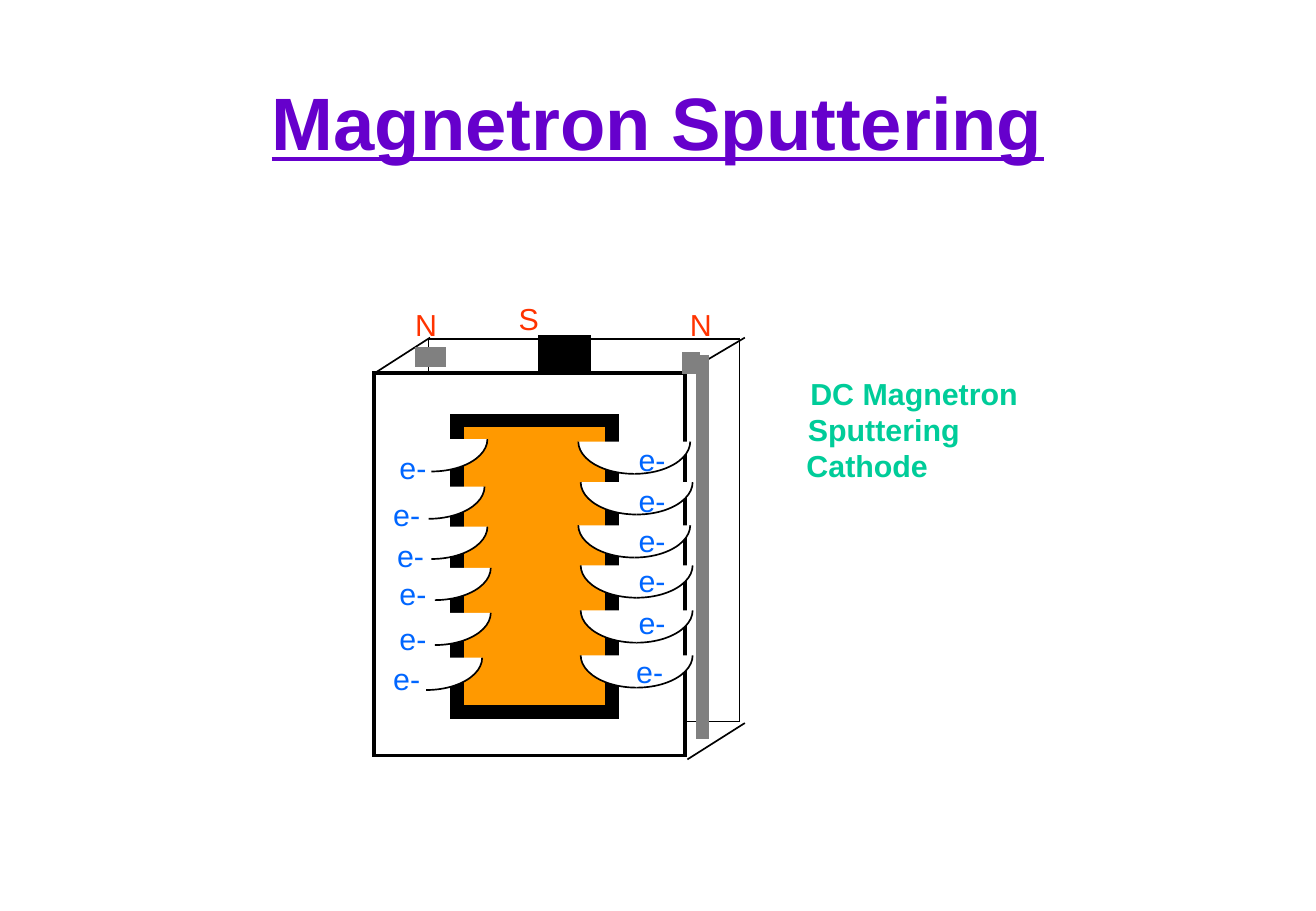
from lxml import etree
from pptx import Presentation
from pptx import util as u
from pptx.dml.color import RGBColor
from pptx.enum import shapes as es, text as et
from pptx.oxml import ns

BLACK = RGBColor(0, 0, 0)
WHITE = RGBColor(255, 255, 255)
GRAY = RGBColor(0x80, 0x80, 0x80)
ORANGE = RGBColor(0xFF, 0x99, 0)
NAVY = RGBColor(0x33, 0x33, 0xCC)
BLUE = RGBColor(0, 0x66, 0xFF)
RED = RGBColor(0xFF, 0x33, 0)
GREEN = RGBColor(0, 0xCC, 0x99)
PURPLE = RGBColor(0x66, 0, 0xCC)

KIND = es.MSO_SHAPE
QUARTER = 54.0  # 90 degrees as an arc adjustment


def cms(*nums):
    return [u.Cm(n) for n in nums]


def pen(line, color, width):
    line.color.rgb = color
    line.width = u.Pt(width)


def draw(slide, kind, x, y, w, h, fill, color, width):
    shape = slide.shapes.add_shape(kind, *cms(x, y, w, h))
    shape.shadow.inherit = False
    if fill is None:
        shape.fill.background()
    else:
        shape.fill.solid()
        shape.fill.fore_color.rgb = fill
    pen(shape.line, color, width)
    if kind == KIND.RECTANGLE:
        ln = shape.line._get_or_add_ln()
        etree.SubElement(ln, ns.qn("a:miter"), lim="800000")
    return shape


def arc(slide, x, y, start):
    """Draw a quarter ellipse that begins at the given quarter turn."""
    shape = draw(slide, KIND.ARC, x, y, 2.34, 1.35, WHITE, BLACK, 1)
    shape.adjustments[0] = start * QUARTER
    shape.adjustments[1] = (start + 1) * QUARTER


def edge(slide, x1, y1, x2, y2, color=BLACK, width=1):
    line = slide.shapes.add_connector(
        es.MSO_CONNECTOR.STRAIGHT, *cms(x1, y1, x2, y2))
    pen(line.line, color, width)
    etree.SubElement(line._element.spPr, ns.qn("a:effectLst"))


def write(para, words, size, color, bold=False):
    run = para.add_run()
    run.text = words
    font = run.font
    font.name = "Arial"
    font.size = u.Pt(size)
    font.bold = bold
    font.color.rgb = color
    return font


def label(slide, x, y, w, words, color, bold=False):
    frame = slide.shapes.add_textbox(*cms(x, y, w, 1.02)).text_frame
    frame.word_wrap = False
    write(frame.paragraphs[0], words, 18, color, bold)


def heading(slide, x, y, w, h):
    title = slide.shapes.title
    title.left, title.top, title.width, title.height = cms(x, y, w, h)
    frame = title.text_frame
    frame.vertical_anchor = et.MSO_ANCHOR.MIDDLE
    para = frame.paragraphs[0]
    para.alignment = et.PP_ALIGN.CENTER
    write(para, "Magnetron Sputtering", 44, PURPLE, True).underline = True


def case(slide, x, y, w, h):
    """Draw the housing; the box is its front plate."""
    box = KIND.RECTANGLE
    draw(slide, box, x + 1.14, y - 0.71, w, h, None, BLACK, 1)
    draw(slide, box, x, y, w, h, WHITE, BLACK, 2)
    for x1, y1, x2, y2 in ((1.17, -0.74, -0.03, 0.03),
                           (7.75, -0.74, 6.55, -0.03),
                           (7.75, 7.32, 6.55, 8.08)):
        edge(slide, x + x1, y + y1, x + x2, y + y2)
    draw(slide, box, x + 1.73, y + 0.99, 3.25, 6.1, ORANGE, BLACK, 8)


def paths(slide, x, y):
    """Draw the electron paths and their labels."""
    left = ((0.03, 0.71), (-0.03, 1.7), (0.03, 2.54),
            (0.1, 3.4), (0.1, 4.34), (-0.08, 5.28))
    right = ((4.27, 0.76), (4.32, 1.61), (4.27, 2.51),
             (4.32, 3.35), (4.32, 4.29), (4.32, 5.23))
    marks = ((0.28, 1.47), (0.15, 2.46), (0.23, 3.3),
             (0.28, 4.11), (0.28, 5.05), (0.15, 5.89),
             (5.28, 1.3), (5.28, 2.16), (5.28, 3),
             (5.28, 3.84), (5.28, 4.7), (5.23, 5.74))
    for dx, dy in left:
        arc(slide, x + dx, y + dy, 0)
    for dx, dy in right:
        for start in (0, 1):
            arc(slide, x + dx, y + dy, start)
    for dx, dy in marks:
        label(slide, x + dx, y + dy, 1.07, "e-", BLUE)


def poles(slide, x, y):
    edge(slide, x + 6.86, y - 0.38, x + 6.86, y + 7.65, GRAY, 8)
    for dx, dy, w, h, fill, rim in ((3.56, -0.66, 0.84, 0.56, BLACK, BLACK),
                                    (0.99, -0.41, 0.38, 0.15, ORANGE, GRAY),
                                    (6.58, -0.3, 0.1, 0.18, NAVY, GRAY)):
        draw(slide, KIND.RECTANGLE, x + dx, y + dy, w, h, fill, rim, 8)
    for dx, dy, name in ((6.35, -1.52, "N"), (2.77, -1.65, "S"),
                         (0.61, -1.52, "N")):
        label(slide, x + dx, y + dy, 0.96, name, RED)


def caption(slide, x, y):
    lines = ((0.08, 4.85, "DC Magnetron"), (0.03, 3.68, "Sputtering"),
             (0, 3.05, "Cathode"))
    for row, (dx, w, words) in enumerate(lines):
        label(slide, x + dx, y + row * 0.75, w, words, GREEN, True)


def main():
    deck = Presentation()
    deck.slide_width, deck.slide_height = cms(27.51, 19.05)
    slide = deck.slides.add_slide(deck.slide_layouts[5])
    heading(slide, 1.14, 0.94, 25.22, 3.18)
    x, y = 7.82, 7.8
    case(slide, x, y, 6.5, 8)
    paths(slide, x, y)
    poles(slide, x, y)
    caption(slide, 16.61, 7.72)
    deck.save("out.pptx")


if __name__ == "__main__":
    main()
